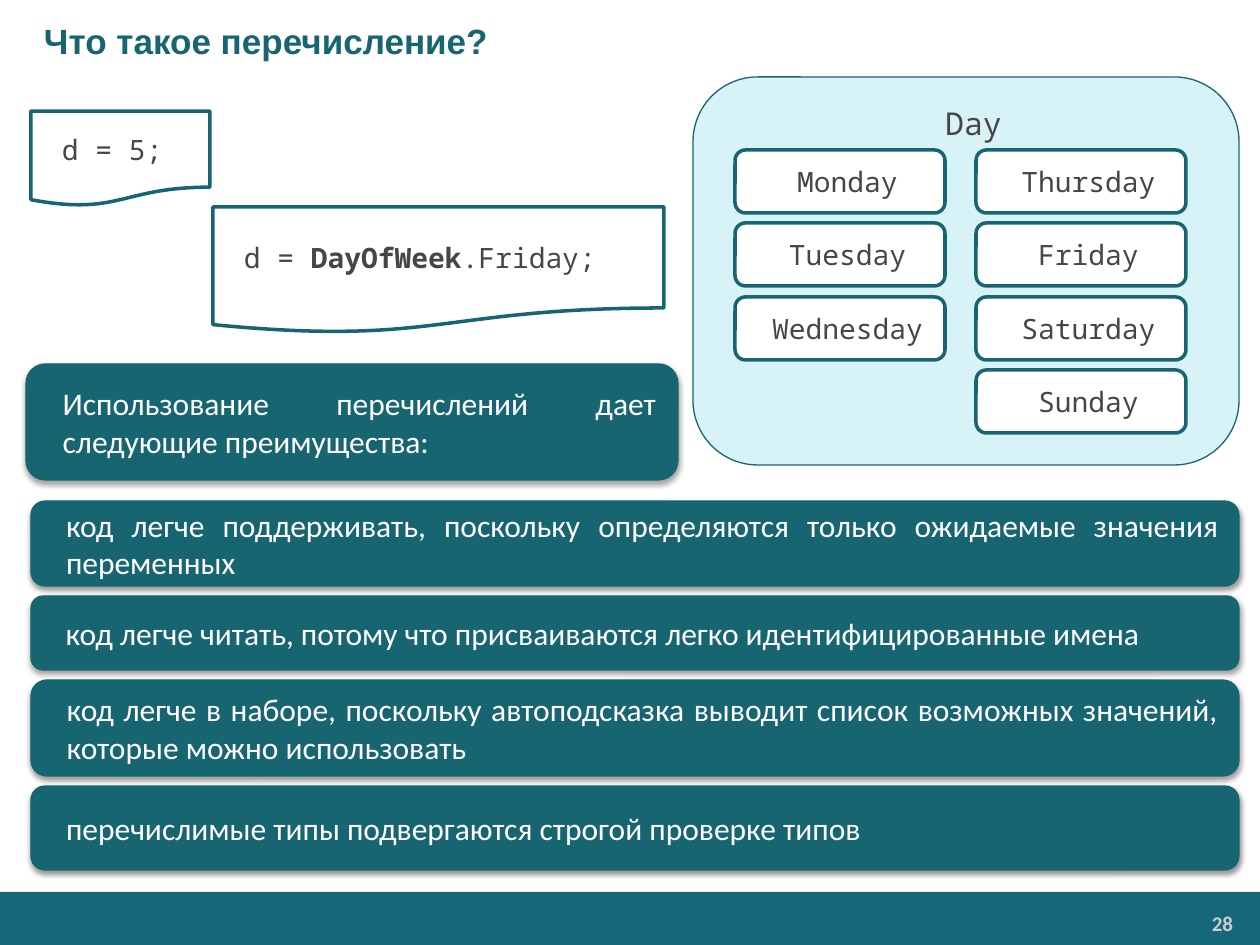
import lxml.etree
import pptx
import pptx.dml.color
import pptx.enum.shapes
import pptx.enum.text
import pptx.oxml.ns
import pptx.util

EMU_PER_PX = 914400 / 126
SHAPES = pptx.enum.shapes.MSO_SHAPE
ALIGN = pptx.enum.text.PP_ALIGN
ANCHOR = pptx.enum.text.MSO_ANCHOR

COLOURS = {
    "teal": "176571",
    "footer": "146878",
    "panel": "D7F3F7",
    "white": "FFFFFF",
    "code": "464547",
    "number": "CCCCCC",
    "shadow": "000000",
}
TITLE = {"size": 20, "name": "Arial", "bold": True, "colour": "teal"}
NUMBER = {"size": 12, "name": "Calibri", "bold": True, "colour": "number"}
CODE = {"size": 16, "name": "Noto Sans Mono", "bold": False, "colour": "code"}
CODE_BOLD = {**CODE, "bold": True}
HEADING = {**CODE, "size": 18}
BODY = {"size": 18, "name": "Calibri", "bold": False, "colour": "white"}

DAYS = [
    (735, ["Monday", "Tuesday", "Wednesday"]),
    (976, ["Thursday", "Friday", "Saturday", "Sunday"]),
]
BENEFITS = [
    (501, 85, "код легче поддерживать, поскольку определяются только ожидаемые значения переменных"),
    (596, 74, "код легче читать, потому что присваиваются легко идентифицированные имена"),
    (680, 96, "код легче в наборе, поскольку автоподсказка выводит список возможных значений, "
              "которые можно использовать"),
    (786, 84, "перечислимые типы подвергаются строгой проверке типов"),
]


def px(length):
    return pptx.util.Emu(round(length * EMU_PER_PX))


def rgb(name):
    return pptx.dml.color.RGBColor.from_string(COLOURS[name])


def write(box, spans, align, anchor=ANCHOR.MIDDLE, margins=(16, 8), indent=15):
    """Fill a box with one paragraph made of (text, format) spans."""
    frame = box.text_frame
    side, edge = map(px, margins)
    settings = {
        "word_wrap": True, "vertical_anchor": anchor,
        "margin_left": side, "margin_right": side,
        "margin_top": edge, "margin_bottom": edge,
    }
    for key, value in settings.items():
        setattr(frame, key, value)
    para = frame.paragraphs[0]
    para.alignment = align
    properties = para._p.get_or_add_pPr()
    properties.set("marL", str(px(indent)))
    properties.set("indent", "0")
    for text, style in spans:
        span = para.add_run()
        span.text = text
        for key in ("size", "name", "bold"):
            value = pptx.util.Pt(style[key]) if key == "size" else style[key]
            setattr(span.font, key, value)
        span.font.color.rgb = rgb(style["colour"])


def add_text(page, bounds, text, style, align, **layout):
    box = page.shapes.add_textbox(*map(px, bounds))
    write(box, [(text, style)], align, **layout)


def add_box(page, kind, bounds, fill, line_width):
    """Add a shape with a teal outline, or with none at width 0."""
    box = page.shapes.add_shape(kind, *map(px, bounds))
    box.shadow.inherit = False
    box.fill.solid()
    box.fill.fore_color.rgb = rgb(fill)
    if line_width:
        box.line.color.rgb = rgb("teal")
        box.line.width = pptx.util.Pt(line_width)
    else:
        box.line.fill.background()
    return box


def add_shadow(box, opacity, distance):
    qn = pptx.oxml.ns.qn
    effects = box._element.spPr.find(qn("a:effectLst"))
    shadow = lxml.etree.SubElement(
        effects, qn("a:outerShdw"), blurRad=str(pptx.util.Pt(3.1)),
        dist=str(pptx.util.Pt(distance)), dir="5400000", rotWithShape="0")
    colour = lxml.etree.SubElement(shadow, qn("a:srgbClr"), val=COLOURS["shadow"])
    lxml.etree.SubElement(colour, qn("a:alpha"), val=str(opacity * 1000))


def add_code(page, bounds, spans):
    box = add_box(page, SHAPES.FLOWCHART_DOCUMENT, bounds, "white", 2)
    write(box, spans, ALIGN.JUSTIFY)


def add_banner(page, bounds, text, opacity=38, distance=1.6):
    box = add_box(page, SHAPES.ROUNDED_RECTANGLE, bounds, "teal", 0.75)
    add_shadow(box, opacity, distance)
    write(box, [(text, BODY)], ALIGN.JUSTIFY)


def add_days(page):
    panel = add_box(page, SHAPES.ROUNDED_RECTANGLE, (693, 77, 546, 388), "panel", 0.75)
    write(panel, [("Day", HEADING)], ALIGN.CENTER, ANCHOR.TOP)
    for left, names in DAYS:
        for row, name in enumerate(names):
            bounds = (left, 150 + row * 147 // 2, 210, 63)
            box = add_box(page, SHAPES.ROUNDED_RECTANGLE, bounds, "white", 2)
            write(box, [(name, CODE)], ALIGN.CENTER)


def main():
    deck = pptx.Presentation()
    deck.slide_width, deck.slide_height = px(1260), px(945)
    page = deck.slides.add_slide(deck.slide_layouts[6])

    add_box(page, SHAPES.RECTANGLE, (0, 892, 1260, 53), "footer", 0)
    add_text(page, (1037, 906, 205, 35), "28", NUMBER, ALIGN.RIGHT,
             anchor=ANCHOR.TOP, margins=(9, 5), indent=0)
    add_text(page, (0, 0, 1260, 80), "Что такое перечисление?", TITLE, ALIGN.LEFT,
             margins=(13, 6), indent=31)

    add_code(page, (31, 111, 179, 95), [("d = 5;", CODE)])
    add_code(page, (213, 207, 451, 126),
             [("d = ", CODE), ("DayOfWeek", CODE_BOLD), (".Friday;", CODE)])
    add_days(page)

    add_banner(page, (26, 364, 652, 116),
               "Использование перечислений дает следующие преимущества:", 35, 1.8)
    for top, height, text in BENEFITS:
        add_banner(page, (31, top, 1208, height), text)

    deck.save("out.pptx")


if __name__ == "__main__":
    main()
